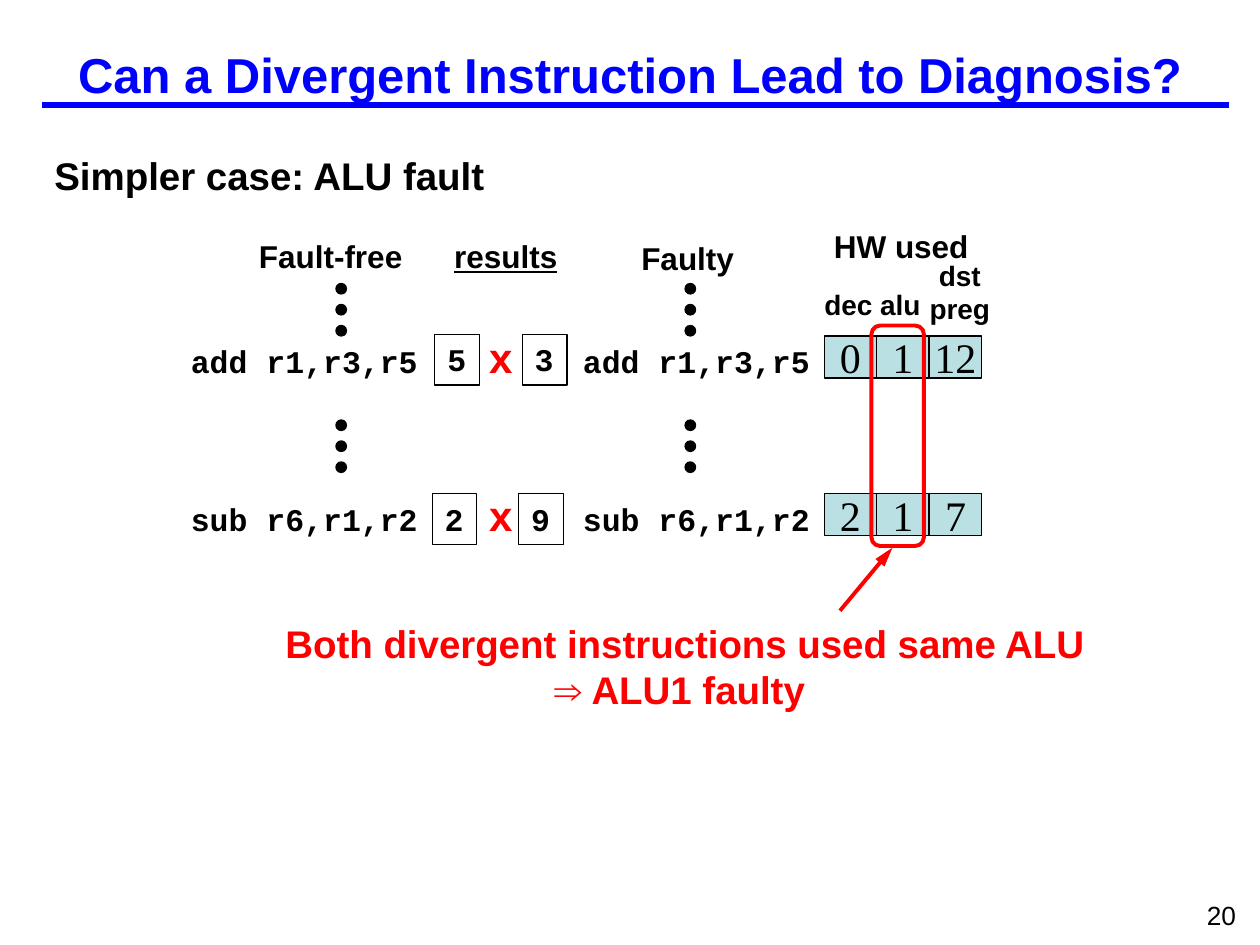
from dataclasses import dataclass

import lxml.etree
import pptx
import pptx.dml.color
import pptx.enum.shapes
import pptx.enum.text
import pptx.oxml.ns
import pptx.util

Pt = pptx.util.Pt
ALIGN = pptx.enum.text.PP_ALIGN
ANCHOR = pptx.enum.text.MSO_ANCHOR
SHAPE = pptx.enum.shapes.MSO_SHAPE

COLORS = {"blue": "0000FF", "black": "000000", "red": "FF0000", "cell": "BBE0E3"}


@dataclass
class Style:
    size: float
    name: str = "Arial"
    bold: bool = True
    underline: bool = False
    color: str = "black"
    align: int = ALIGN.CENTER
    anchor: int = ANCHOR.TOP
    wrap: bool = False


@dataclass
class Label:
    text: str
    left: float
    top: float
    width: float
    height: float
    style: Style


@dataclass
class Instruction:
    code: str
    top: float
    results: tuple[str, str]
    result_lefts: tuple[float, float]
    result_top: float
    hardware: tuple[str, str, str]


TITLE = Style(28, color="blue", anchor=ANCHOR.MIDDLE, wrap=True)
HEADING = Style(18)
CODE = Style(18, name="Courier New", align=ALIGN.LEFT)
CROSS = Style(24, color="red", align=ALIGN.LEFT)
CELL = Style(24, name="Times New Roman", bold=False, anchor=ANCHOR.MIDDLE)

LABELS = [
    Label("Simpler case: ALU fault", 24, 78, 678, 40,
          Style(22, align=ALIGN.LEFT, wrap=True)),
    Label("Fault-free", 138, 132, 102, 29, Style(18, wrap=True)),
    Label("results", 249, 132, 80, 29, Style(18, underline=True)),
    Label("Faulty", 353, 133, 80, 29, HEADING),
    Label("HW used", 465, 126, 100, 29, HEADING),
    Label("dec alu", 464, 160.5, 80, 26.5, Style(16, align=ALIGN.LEFT)),
    Label("dst\npreg", 521, 144, 55, 46, Style(16)),
    Label("Both divergent instructions used same ALU\n⇒ ALU1 faulty ",
          151.5, 350.5, 480, 60.5, Style(22, color="red")),
    Label("20", 682.5, 510.5, 37.5, 25,
          Style(15, bold=False, align=ALIGN.LEFT, wrap=True)),
]

INSTRUCTIONS = [
    Instruction("add r1,r3,r5", 192, ("5", "3"), (248.5, 298.5), 191,
                ("0", "1", "12")),
    Instruction("sub r6,r1,r2", 282, ("2", "9"), (247, 296.5), 282,
                ("2", "1", "7")),
]

CODE_LEFTS = (102, 326)
CELL_LEFT, CELL_WIDTH, CELL_HEIGHT = 471, 30, 24
DOT_LEFTS, DOT_TOPS, DOT_SIZE, DOT_PITCH = (192, 391.5), (162, 240), 6, 12


def rgb(color: str) -> pptx.dml.color.RGBColor:
    return pptx.dml.color.RGBColor.from_string(COLORS[color])


def write(shape, text: str, style: Style) -> None:
    """Put formatted text, one paragraph per line, in a shape."""
    frame = shape.text_frame
    frame.text = text
    frame_format = {
        "word_wrap": style.wrap, "vertical_anchor": style.anchor,
        "margin_left": Pt(7.2), "margin_right": Pt(7.2),
        "margin_top": Pt(3.6), "margin_bottom": Pt(3.6),
    }
    font_format = {"size": Pt(style.size), "name": style.name,
                   "bold": style.bold, "underline": style.underline}
    for key, value in frame_format.items():
        setattr(frame, key, value)
    for paragraph in frame.paragraphs:
        paragraph.alignment = style.align
        for run in paragraph.runs:
            for key, value in font_format.items():
                setattr(run.font, key, value)
            run.font.color.rgb = rgb(style.color)


def add_label(slide, label: Label):
    shape = slide.shapes.add_textbox(
        Pt(label.left), Pt(label.top), Pt(label.width), Pt(label.height))
    write(shape, label.text, label.style)
    return shape


def add_box(slide, kind: int, left: float, top: float, width: float, height: float,
            fill: str | None = None, line: str = "black", weight: float = 0.75):
    shape = slide.shapes.add_shape(kind, Pt(left), Pt(top), Pt(width), Pt(height))
    shape.shadow.inherit = False
    if fill:
        shape.fill.solid()
        shape.fill.fore_color.rgb = rgb(fill)
    else:
        shape.fill.background()
    shape.line.color.rgb = rgb(line)
    shape.line.width = Pt(weight)
    return shape


def add_line(slide, start: tuple[float, float], end: tuple[float, float],
             color: str, weight: float, arrow: bool = False) -> None:
    connector = slide.shapes.add_connector(
        pptx.enum.shapes.MSO_CONNECTOR.STRAIGHT,
        Pt(start[0]), Pt(start[1]), Pt(end[0]), Pt(end[1]))
    connector.line.color.rgb = rgb(color)
    connector.line.width = Pt(weight)
    qn = pptx.oxml.ns.qn
    if arrow:
        lxml.etree.SubElement(connector.line._get_or_add_ln(), qn("a:tailEnd"),
                              type="triangle", len="lg")
    lxml.etree.SubElement(connector._element.spPr, qn("a:effectLst"))


def add_instruction(slide, instruction: Instruction) -> None:
    """Draw both code columns, the differing results and the hardware cells."""
    for left in CODE_LEFTS:
        add_label(slide, Label(instruction.code, left, instruction.top, 150, 29, CODE))
    for result, left in zip(instruction.results, instruction.result_lefts):
        box = add_box(slide, SHAPE.RECTANGLE, left, instruction.result_top, 25.5, 29)
        write(box, result, CODE)
    add_label(slide, Label("x", 272.5, instruction.top - 6, 30, 36, CROSS))
    for column, unit in enumerate(instruction.hardware):
        cell = add_box(slide, SHAPE.RECTANGLE, CELL_LEFT + column * CELL_WIDTH,
                       instruction.top, CELL_WIDTH, CELL_HEIGHT, fill="cell")
        write(cell, unit, CELL)


def main() -> None:
    presentation = pptx.Presentation()
    presentation.slide_width, presentation.slide_height = Pt(720), Pt(540)
    slide = presentation.slides.add_slide(presentation.slide_layouts[5])

    # Title and rule
    title = slide.shapes.title
    bounds = {"left": 0, "top": 12, "width": 720, "height": 60}
    for key, value in bounds.items():
        setattr(title, key, Pt(value))
    write(title, "Can a Divergent Instruction Lead to Diagnosis?", TITLE)
    add_line(slide, (24, 60), (702, 60), "blue", 3)

    # Headings, conclusion and page number
    for label in LABELS:
        shape = add_label(slide, label)
        if label is LABELS[0]:
            shape.text_frame.paragraphs[0].line_spacing = 1.2

    # Vertical ellipses
    for top in DOT_TOPS:
        for left in DOT_LEFTS:
            for step in range(3):
                add_box(slide, SHAPE.OVAL, left, top + step * DOT_PITCH,
                        DOT_SIZE, DOT_SIZE, fill="black")

    # Instruction rows
    for instruction in INSTRUCTIONS:
        add_instruction(slide, instruction)

    # Frame around the shared ALU, with its arrow
    add_box(slide, SHAPE.ROUNDED_RECTANGLE, 498, 186, 30, 126, line="red", weight=2.25)
    add_line(slide, (480, 349), (510, 313), "red", 2.25, arrow=True)

    presentation.save("out.pptx")


if __name__ == "__main__":
    main()
